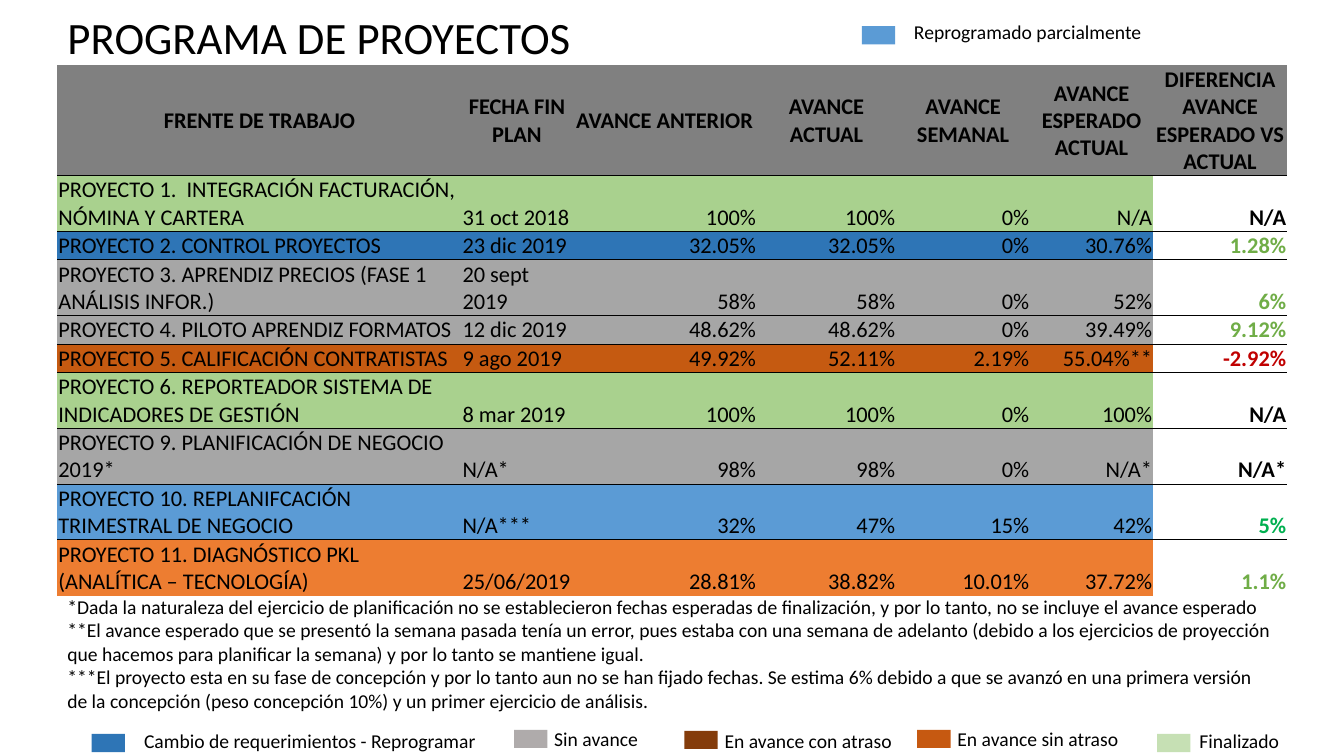
from lxml import etree
from pptx import Presentation
from pptx.dml.color import RGBColor
from pptx.enum.shapes import MSO_SHAPE as SHAPE
from pptx.enum.text import MSO_ANCHOR as ANCHOR, MSO_AUTO_SIZE as AUTO, PP_ALIGN as ALIGN
from pptx.oxml.ns import qn
from pptx.util import Pt

NO_GRID = "{2D5ABB26-0587-4C30-8999-92F81FD0307C}"
BLACK, WHITE, HEADER = "000000", "FFFFFF", "808080"
GREEN, GRAY, BLUE, SKY = "A9D18E", "A6A6A6", "2E75B6", "5B9BD5"
RUST, ORANGE = "C55A11", "ED7D31"
GAIN, LOSS, TARGET = "70AD47", "C00000", "00B050"


def rgb(value):
    return RGBColor.from_string(value)


class Slide:
    font = "Calibri"

    def __init__(self, prs):
        self.s = prs.slides.add_slide(prs.slide_layouts[5])

    def add_runs(self, tf, paragraphs, size, color=BLACK, bold=False, align=ALIGN.LEFT):
        for i, text in enumerate(paragraphs):
            p = tf.add_paragraph() if i else tf.paragraphs[0]
            p.alignment = align
            r = p.add_run()
            r.text = text
            r.font.name, r.font.size, r.font.bold = self.font, Pt(size), bold
            r.font.color.rgb = rgb(color)

    def title(self, text, x, y, w, h, size):
        sp = self.s.shapes.title
        sp.left, sp.top, sp.width, sp.height = Pt(x), Pt(y), Pt(w), Pt(h)
        tf = sp.text_frame
        tf.auto_size, tf.vertical_anchor = AUTO.NONE, ANCHOR.TOP
        self.add_runs(tf, [text], size)

    def text(self, paragraphs, x, y, w, h, size=14):
        tf = self.s.shapes.add_textbox(Pt(x), Pt(y), Pt(w), Pt(h)).text_frame
        tf.word_wrap, tf.auto_size = True, AUTO.SHAPE_TO_FIT_TEXT
        self.add_runs(tf, paragraphs, size)

    def swatch(self, x, y, color, w=23.8, h=13):
        sp = self.s.shapes.add_shape(SHAPE.RECTANGLE, Pt(x), Pt(y), Pt(w), Pt(h))
        sp.shadow.inherit = False
        sp.fill.solid()
        sp.fill.fore_color.rgb = rgb(color)
        sp.line.fill.background()

    def border(self, cell, side):
        ln = etree.Element(qn(f"a:{side}"), w=str(Pt(0.5)))
        fill = etree.SubElement(ln, qn("a:solidFill"))
        etree.SubElement(fill, qn("a:srgbClr"), val=BLACK)
        cell._tc.get_or_add_tcPr().insert(0, ln)

    def cell(self, cell, text, fill, anchor, **style):
        cell.margin_left = cell.margin_right = cell.margin_top = Pt(0.72)
        cell.margin_bottom = 0
        cell.vertical_anchor = anchor
        cell.fill.solid()
        cell.fill.fore_color.rgb = rgb(fill)
        self.add_runs(cell.text_frame, [text], 16, **style)

    def table(self, header, rows, x, y, widths, heights):
        frame = self.s.shapes.add_table(len(rows) + 1, len(header), Pt(x), Pt(y),
                                        Pt(sum(widths)), Pt(sum(heights)))
        t = frame.table
        t.first_row = t.horz_banding = False
        t._tbl.tblPr.find(qn("a:tableStyleId")).text = NO_GRID
        for col, w in zip(t.columns, widths):
            col.width = Pt(w)
        for row, h in zip(t.rows, heights):
            row.height = Pt(h)
        for c, label in enumerate(header):
            self.cell(t.cell(0, c), label, HEADER, ANCHOR.MIDDLE, bold=True, align=ALIGN.CENTER)
        last = len(header) - 1
        for i, (fill, diff_color, *values) in enumerate(rows, 1):
            for c, value in enumerate(values):
                diff = c == last
                self.cell(t.cell(i, c), value, WHITE if diff else fill, ANCHOR.BOTTOM,
                          color=diff_color if diff else BLACK, bold=diff,
                          align=ALIGN.RIGHT if c > 1 else ALIGN.LEFT)
                # Rule shared with the row above: lnT stays ahead of a later lnB
                self.border(t.cell(i, c), "lnT")
                if i < len(rows):
                    self.border(t.cell(i, c), "lnB")
                    tc_pr = t.cell(i, c)._tc.tcPr
                    tc_pr.insert(0, tc_pr.find(qn("a:lnT")))
        for c in range(len(header)):
            self.border(t.cell(0, c), "lnB")


HEADINGS = ["FRENTE DE TRABAJO", "FECHA FIN PLAN", "AVANCE ANTERIOR", "AVANCE ACTUAL",
            "AVANCE SEMANAL", "AVANCE ESPERADO ACTUAL", "DIFERENCIA AVANCE ESPERADO VS ACTUAL"]
# Row fill, colour of the difference, then the seven cells
PROJECTS = [
    (GREEN, BLACK, "PROYECTO 1.  INTEGRACIÓN FACTURACIÓN, NÓMINA Y CARTERA",
     "31 oct 2018", "100%", "100%", "0%", "N/A", "N/A"),
    (BLUE, GAIN, "PROYECTO 2. CONTROL PROYECTOS",
     "23 dic 2019", "32.05%", "32.05%", "0%", "30.76%", "1.28%"),
    (GRAY, GAIN, "PROYECTO 3. APRENDIZ PRECIOS (FASE 1 ANÁLISIS INFOR.)",
     "20 sept 2019", "58%", "58%", "0%", "52%", "6%"),
    (GRAY, GAIN, "PROYECTO 4. PILOTO APRENDIZ FORMATOS",
     "12 dic 2019", "48.62%", "48.62%", "0%", "39.49%", "9.12%"),
    (RUST, LOSS, "PROYECTO 5. CALIFICACIÓN CONTRATISTAS",
     "9 ago 2019", "49.92%", "52.11%", "2.19%", "55.04%**", "-2.92%"),
    (GREEN, BLACK, "PROYECTO 6. REPORTEADOR SISTEMA DE INDICADORES DE GESTIÓN",
     "8 mar 2019", "100%", "100%", "0%", "100%", "N/A"),
    (GRAY, BLACK, "PROYECTO 9. PLANIFICACIÓN DE NEGOCIO 2019*",
     "N/A*", "98%", "98%", "0%", "N/A*", "N/A*"),
    (SKY, TARGET, "PROYECTO 10. REPLANIFCACIÓN TRIMESTRAL DE NEGOCIO",
     "N/A***", "32%", "47%", "15%", "42%", "5%"),
    (ORANGE, GAIN, "PROYECTO 11. DIAGNÓSTICO PKL (ANALÍTICA – TECNOLOGÍA)",
     "25/06/2019", "28.81%", "38.82%", "10.01%", "37.72%", "1.1%"),
]
WIDTHS = [288.7, 79.2, 131.8, 99.4, 95.8, 87.8, 95.8]
ONE_LINE, TWO_LINES = 19.8, 39.3
HEIGHTS = [77.4, TWO_LINES, ONE_LINE, TWO_LINES, ONE_LINE, ONE_LINE] + [TWO_LINES] * 4

NOTES = [
    "*Dada la naturaleza del ejercicio de planificación no se establecieron fechas esperadas "
    "de finalización, y por lo tanto, no se incluye el avance esperado",
    "**El avance esperado que se presentó la semana pasada tenía un error, pues estaba con una "
    "semana de adelanto (debido a los ejercicios de proyección que hacemos para planificar la "
    "semana) y por lo tanto se mantiene igual.",
    "***El proyecto esta en su fase de concepción y por lo tanto aun no se han fijado fechas. "
    "Se estima 6% debido a que se avanzó en una primera versión de la concepción (peso "
    "concepción 10%) y un primer ejercicio de análisis.",
]
# Label, colour, swatch x and y, label x, y and width
LEGEND = [
    ("Reprogramado parcialmente", SKY, 615.6, 18.7, 645.8, 10.8, 266.4),
    ("Cambio de requerimientos - Reprogramar", BLUE, 65.5, 524.2, 95.8, 517, 266.4),
    ("Sin avance", "AFABAB", 367.2, 521.3, 388.8, 515.5, 93.6),
    ("En avance con atraso", "843C0B", 488.9, 522, 510.5, 517, 139),
    ("En avance sin atraso", "C65911", 655.2, 521.3, 676.8, 515.5, 139),
    ("Finalizado", "C6E0B4", 826.6, 524.2, 849.6, 517, 73.4),
]


def main():
    prs = Presentation()
    prs.slide_width, prs.slide_height = Pt(960), Pt(540)
    slide = Slide(prs)

    # Title and project table
    slide.title("PROGRAMA DE PROYECTOS", 41, 3.6, 560, 46, 32)
    slide.table(HEADINGS, PROJECTS, 41, 46.4, WIDTHS, HEIGHTS)

    # Footnotes
    slide.text(NOTES, 41, 421.2, 878.4, 92.2)

    # Colour legend
    for label, color, x, y, label_x, label_y, w in LEGEND:
        slide.swatch(x, y, color)
        slide.text([label], label_x, label_y, w, 24.3)

    prs.save("out.pptx")


if __name__ == "__main__":
    main()
